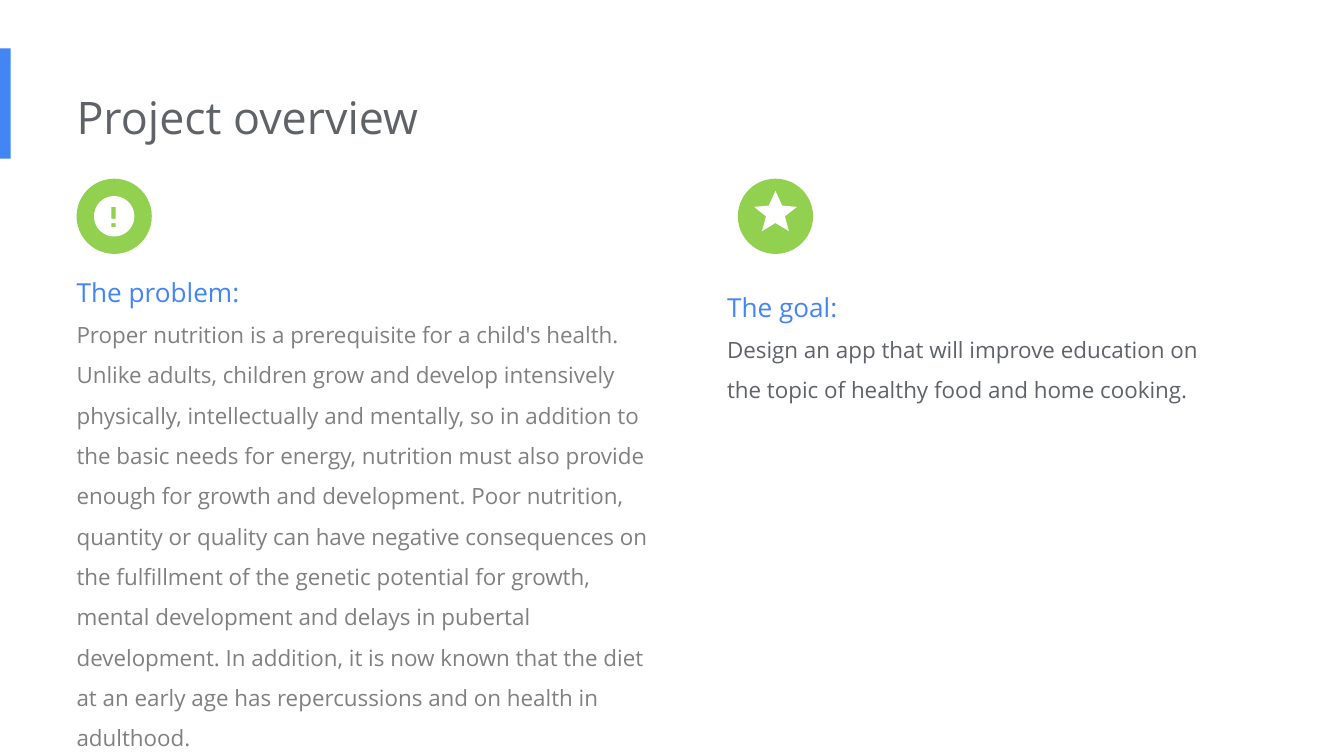
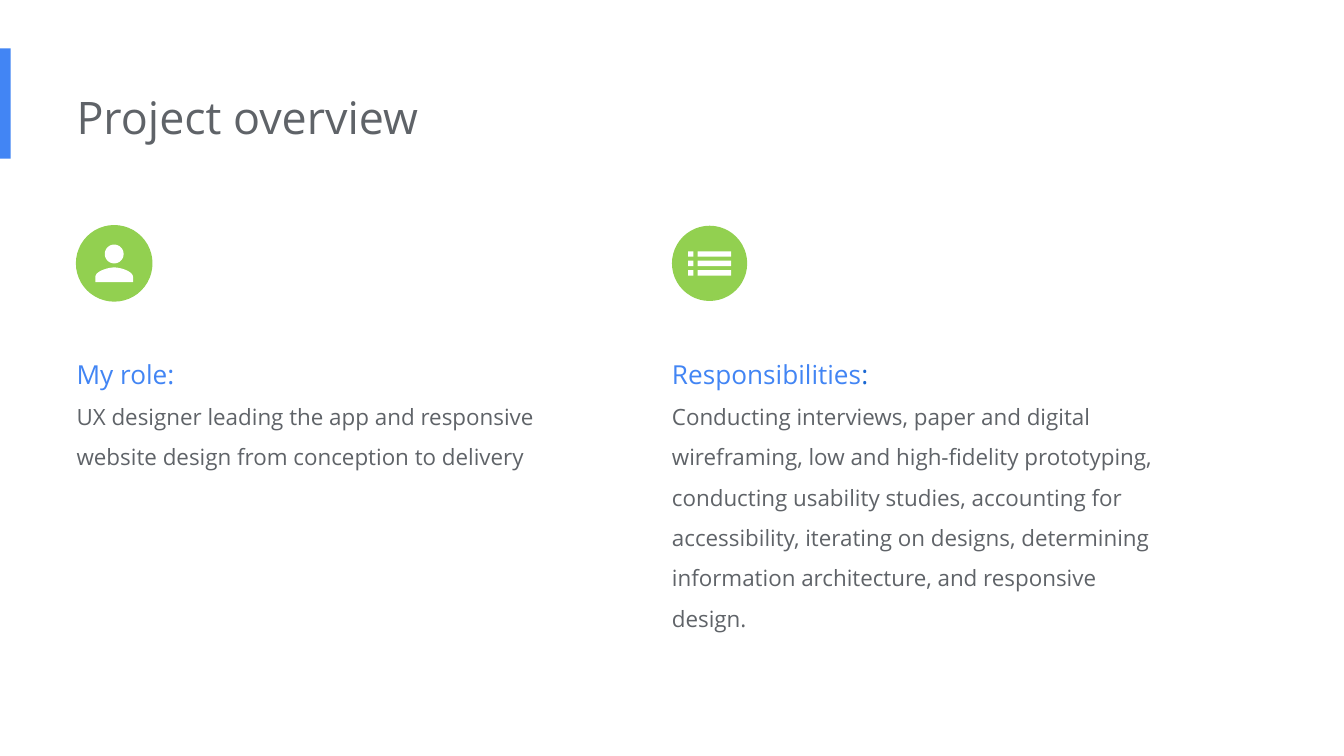
from math import cos, pi, sin

from pptx import Presentation
from pptx.dml.color import RGBColor
from pptx.enum.shapes import MSO_SHAPE
from pptx.enum.text import MSO_AUTO_SIZE
from pptx.util import Inches, Pt

RECT, OVAL = MSO_SHAPE.RECTANGLE, MSO_SHAPE.OVAL
GROW = MSO_AUTO_SIZE.SHAPE_TO_FIT_TEXT
FONT = "Open Sans"
COLORS = {"blue": "4285F4", "deep": "1967D2", "green": "92D050",
          "slate": "5F6368", "gray": "808080", "white": "FFFFFF"}
LEFT = 0.57
DISC = 0.56


def color(name):
    return RGBColor.from_string(COLORS[name])


def paint(shape, fill, line=None):
    shape.shadow.inherit = False
    shape.fill.solid()
    shape.fill.fore_color.rgb = color(fill)
    if line:
        shape.line.color.rgb = color(line)
        shape.line.width = Pt(0.75)
    else:
        shape.line.fill.background()


def add_text(slide, box, paras, spacing=None):
    """Write paragraphs, each a list of (text, size, color) runs."""
    frame = slide.shapes.add_textbox(*map(Inches, box)).text_frame
    frame.word_wrap = True
    frame.auto_size = GROW
    frame.margin_left = 0
    frame.margin_top = frame.margin_right = frame.margin_bottom = Inches(0.1)
    for i, runs in enumerate(paras):
        para = frame.paragraphs[0] if i == 0 else frame.add_paragraph()
        if spacing:
            para.line_spacing = spacing
        for text, size, tint in runs:
            run = para.add_run()
            run.text = text
            run.font.name = FONT
            run.font.size = Pt(size)
            run.font.color.rgb = color(tint)


# Icon outlines are loops of points around the middle of the disc.

def ring(x, y, radius, steps=72):
    turns = [2 * pi * i / steps for i in range(steps)]
    return [(x + radius * cos(a), y + radius * sin(a)) for a in turns]


def bar(x, y, width, height):
    """Corners run against the turn of a ring, so a bar cuts a hole in it."""
    return [(x, y), (x, y + height), (x + width, y + height), (x + width, y)]


def curve(a, b, c, d, steps=16):
    """Points along a cubic Bezier curve."""
    points = []
    for i in range(steps + 1):
        t = i / steps
        s = 1 - t
        parts = (s ** 3, 3 * s * s * t, 3 * s * t * t, t ** 3)
        points.append(tuple(sum(k * p[n] for k, p in zip(parts, (a, b, c, d)))
                            for n in (0, 1)))
    return points


def mirror(half):
    return half + [(-x, y) for x, y in reversed(half)]


def alert():
    return [ring(0, 0, 0.15), bar(-0.02, -0.07, 0.03, 0.09),
            bar(-0.02, 0.05, 0.03, 0.03)]


def star():
    return [mirror([(0, 0.05), (0.1, 0.11), (0.07, 0), (0.16, -0.07),
                    (0.05, -0.08), (0, -0.19)])]


def person():
    side = curve((0, 0.03), (0.05, 0.03), (0.14, 0.06), (0.14, 0.1))
    return [ring(0, -0.07, 0.07), mirror(side + [(0.14, 0.14)])]


def rows():
    return [bar(x, -0.09 + 0.07 * i, width, 0.04)
            for i in range(3) for x, width in ((-0.16, 0.04), (-0.09, 0.25))]


def add_icon(slide, left, top, loops, line=None):
    disc = slide.shapes.add_shape(OVAL, *map(Inches, (left, top, DISC, DISC)))
    paint(disc, "green", line)
    mid_x, mid_y = left + DISC / 2, top + DISC / 2
    pen = None
    for loop in loops:
        first, *rest = [(Inches(mid_x + x), Inches(mid_y + y))
                        for x, y in loop]
        if pen is None:
            pen = slide.shapes.build_freeform(*first)
        else:
            pen.move_to(*first)
        pen.add_line_segments(rest, close=True)
    paint(pen.convert_to_shape(), "white")


def add_topic(slide, box, head, body, tint="slate"):
    """Place a heading of (text, color) runs over its body text."""
    runs = [(text, 14, shade) for text, shade in head]
    add_text(slide, box, [runs, [(body, 12, tint)]], 1.5)


def add_page(deck):
    """Add a slide with the side band and the title."""
    slide = deck.slides.add_slide(deck.slide_layouts[6])
    band = slide.shapes.add_shape(RECT, *map(Inches, (0, 0.36, 0.08, 0.82)))
    paint(band, "blue")
    add_text(slide, (LEFT, 0.57, 6.73, 0.61),
             [[("Project overview", 24, "slate")]])
    return slide


def add_aims(deck):
    slide = add_page(deck)
    top = 1.33
    add_icon(slide, LEFT, top, alert())
    add_topic(
        slide, (LEFT, 1.84, 4.43, 3.89), [("The problem:", "blue")],
        "Proper nutrition is a prerequisite for a child's health. Unlike "
        "adults, children grow and develop intensively physically, "
        "intellectually and mentally, so in addition to the basic needs for "
        "energy, nutrition must also provide enough for growth and "
        "development. Poor nutrition, quantity or quality can have negative "
        "consequences on the fulfillment of the genetic potential for growth, "
        "mental development and delays in pubertal development. In addition, "
        "it is now known that the diet at an early age has repercussions and "
        "on health in adulthood.", "gray")
    add_icon(slide, 5.49, top, star())
    add_topic(
        slide, (5.41, 1.95, 3.77, 1.16), [("The goal:", "blue")],
        "Design an app that will improve education on the topic of healthy "
        "food and home cooking.")


def add_duties(deck):
    slide = add_page(deck)
    top, text_top, width, right = 1.68, 2.45, 3.77, 5
    add_icon(slide, LEFT, top, person(), "green")
    add_topic(
        slide, (LEFT, text_top, width, 1.06), [("My role:", "blue")],
        "UX designer leading the app and responsive website design from "
        "conception to delivery")
    add_icon(slide, right, top, rows())
    add_topic(
        slide, (right, text_top, width, 2.27),
        [("Responsibilities", "blue"), (":", "deep")],
        "Conducting interviews, paper and digital wireframing, low and "
        "high-fidelity prototyping, conducting usability studies, accounting "
        "for accessibility, iterating on designs, determining information "
        "architecture, and responsive design.")


def main():
    deck = Presentation()
    deck.slide_width = Inches(10)
    deck.slide_height = deck.slide_width * 9 // 16
    add_aims(deck)
    add_duties(deck)
    deck.save("out.pptx")


if __name__ == "__main__":
    main()
